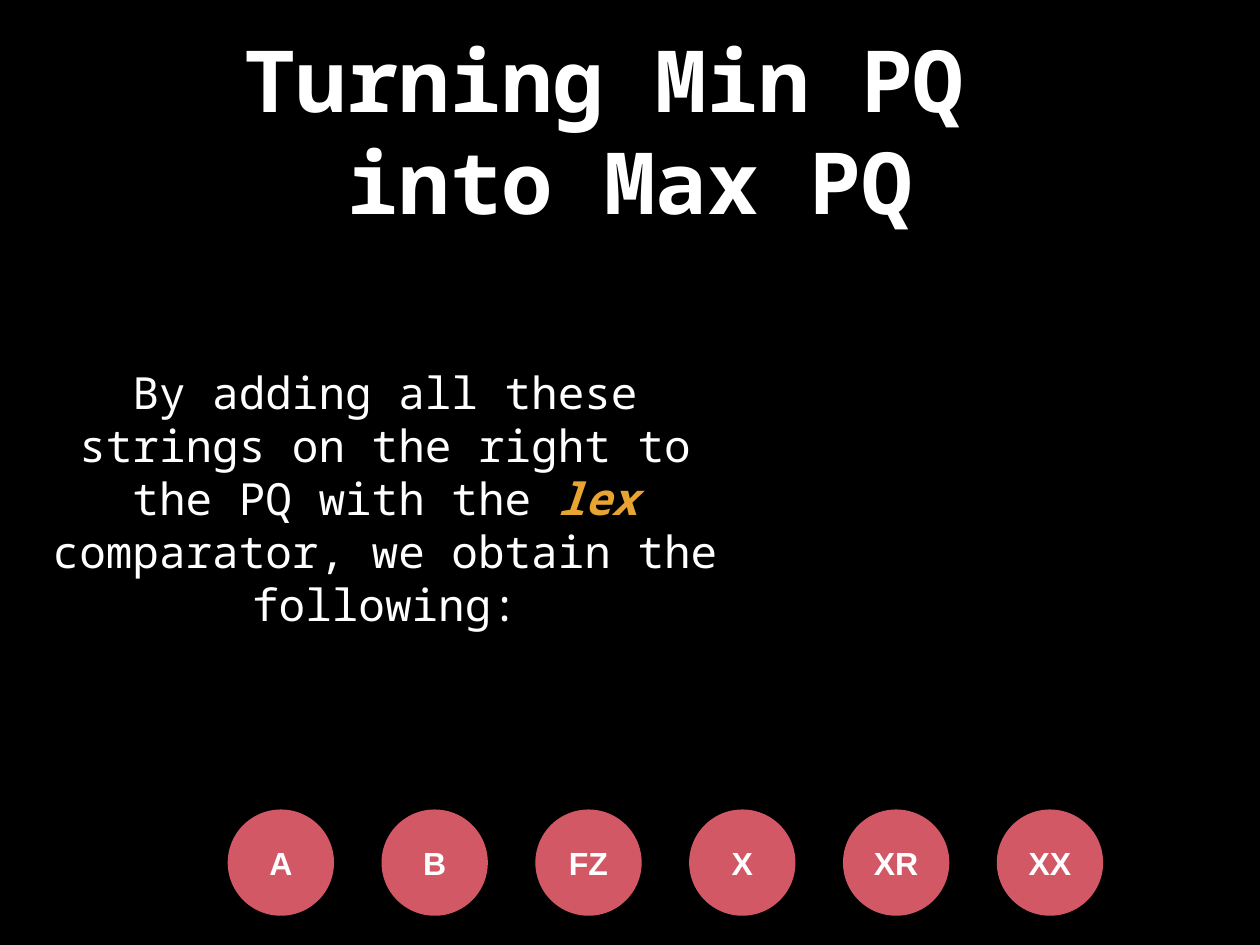
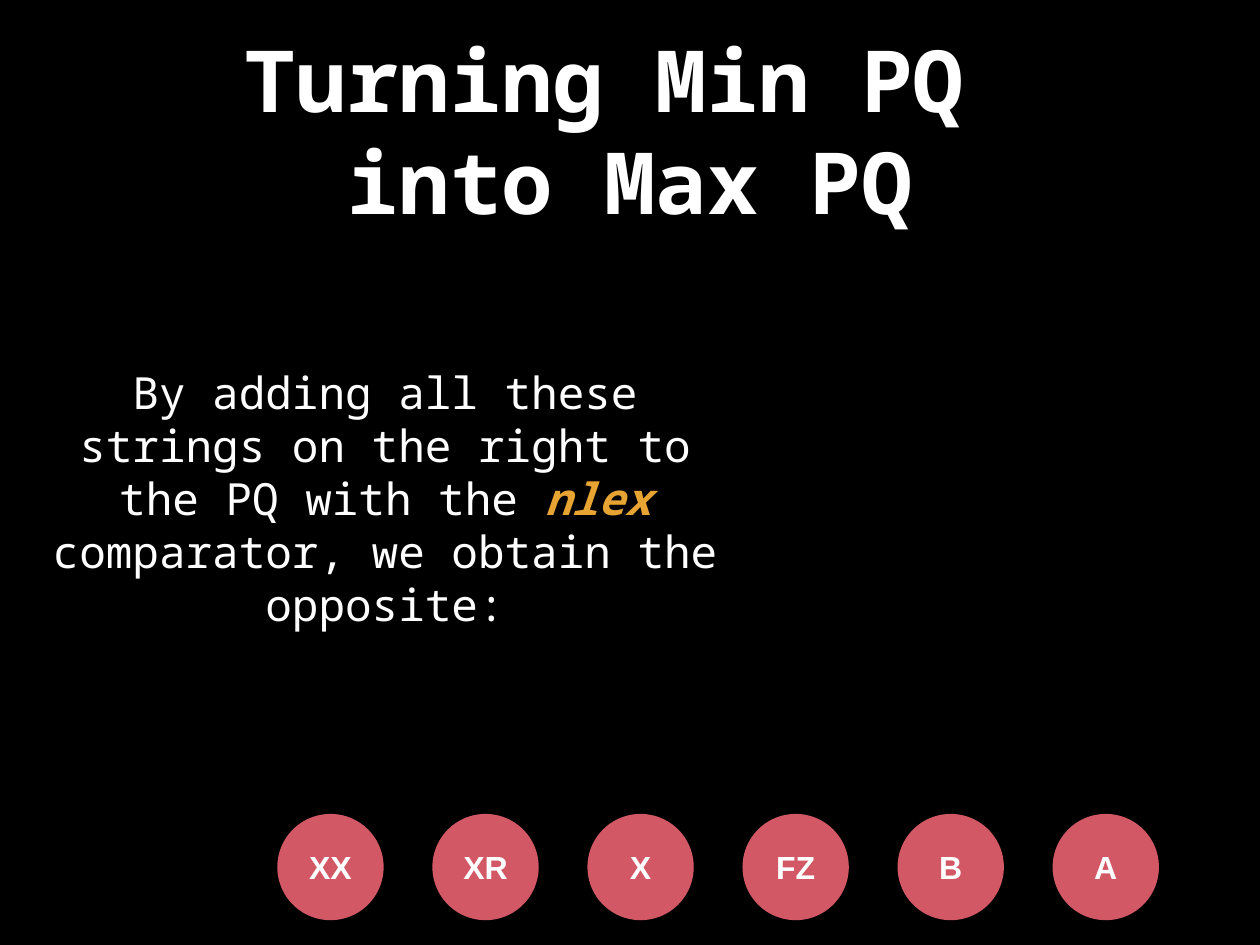
import pptx
import pptx.util
import pptx.dml.color
import pptx.enum.shapes
import pptx.enum.text

Inches = pptx.util.Inches
RGBColor = pptx.dml.color.RGBColor
AutoSize = pptx.enum.text.MSO_AUTO_SIZE

BLACK = RGBColor(0x00, 0x00, 0x00)
WHITE = RGBColor(0xFF, 0xFF, 0xFF)
ROSE = RGBColor(0xD3, 0x58, 0x66)
AMBER = RGBColor(0xE8, 0xA4, 0x32)
MONO = "Noto Sans Mono"
SANS = "Arial"
TITLE_ONLY = 5


def write(frame, lines, size, font=MONO, bold=False, fit=AutoSize.NONE):
    """Fill a frame with centred lines; each is a list of (text, format) runs."""
    frame.word_wrap = True
    frame.auto_size = fit
    frame.vertical_anchor = pptx.enum.text.MSO_ANCHOR.MIDDLE
    frame.margin_left = frame.margin_right = Inches(0.06)
    frame.margin_top = frame.margin_bottom = Inches(0.06)
    for n, runs in enumerate(lines):
        para = frame.add_paragraph() if n else frame.paragraphs[0]
        para.alignment = pptx.enum.text.PP_ALIGN.CENTER
        for text, style in runs:
            run = para.add_run()
            run.text = text
            run.font.name = font
            run.font.size = pptx.util.Pt(size)
            run.font.bold = style.get("bold", bold)
            run.font.italic = style.get("italic", False)
            run.font.color.rgb = style.get("color", WHITE)


class Deck:
    def __init__(self):
        self.file = pptx.Presentation()
        self.file.slide_width = Inches(14.22)
        self.file.slide_height = Inches(10.67)
        self.slide = None

    def start(self, *lines):
        """Add a black slide with a title of the given lines."""
        layout = self.file.slide_layouts[TITLE_ONLY]
        self.slide = self.file.slides.add_slide(layout)
        fill = self.slide.background.fill
        fill.solid()
        fill.fore_color.rgb = BLACK
        title = self.slide.shapes.title
        title.left, title.top = Inches(1.04), Inches(0.28)
        title.width, title.height = Inches(12.14), Inches(2.36)
        write(title.text_frame, [[(line, {})] for line in lines], 69.6, bold=True)

    def body(self, before, term, after):
        """Add a paragraph with one highlighted term."""
        box = self.slide.shapes.add_textbox(
            Inches(0.29), Inches(4.14), Inches(8.11), Inches(2.96))
        accent = {"bold": True, "italic": True, "color": AMBER}
        runs = [(before, {}), (term, accent), (after, {})]
        write(box.text_frame, [runs], 36, fit=AutoSize.SHAPE_TO_FIT_TEXT)

    def circle(self, label, left, top):
        size = Inches(1.2)
        oval = self.slide.shapes.add_shape(
            pptx.enum.shapes.MSO_SHAPE.OVAL, Inches(left), Inches(top), size, size)
        oval.shadow.inherit = False
        oval.fill.solid()
        oval.fill.fore_color.rgb = ROSE
        oval.line.fill.background()
        write(oval.text_frame, [[(label, {})]], 26, font=SANS, bold=True)

    def queue(self, labels, first, last, top):
        """Space the circles evenly from the first left edge to the last."""
        step = (last - first) / (len(labels) - 1)
        for n, label in enumerate(labels):
            self.circle(label, first + n * step, top)


def main():
    deck = Deck()
    keys = ["A", "B", "FZ", "X", "XR", "XX"]
    cases = [
        ("lex", "following", keys, 2.57, 11.25, 9.14),
        ("nlex", "opposite", keys[::-1], 3.13, 11.88, 9.19),
    ]
    for term, result, labels, first, last, top in cases:
        deck.start("Turning Min PQ ", "into Max PQ")
        deck.queue(labels, first, last, top)
        deck.body("By adding all these strings on the right to the PQ with the ",
                  term, f" comparator, we obtain the {result}:")
    deck.file.save("out.pptx")


if __name__ == "__main__":
    main()
